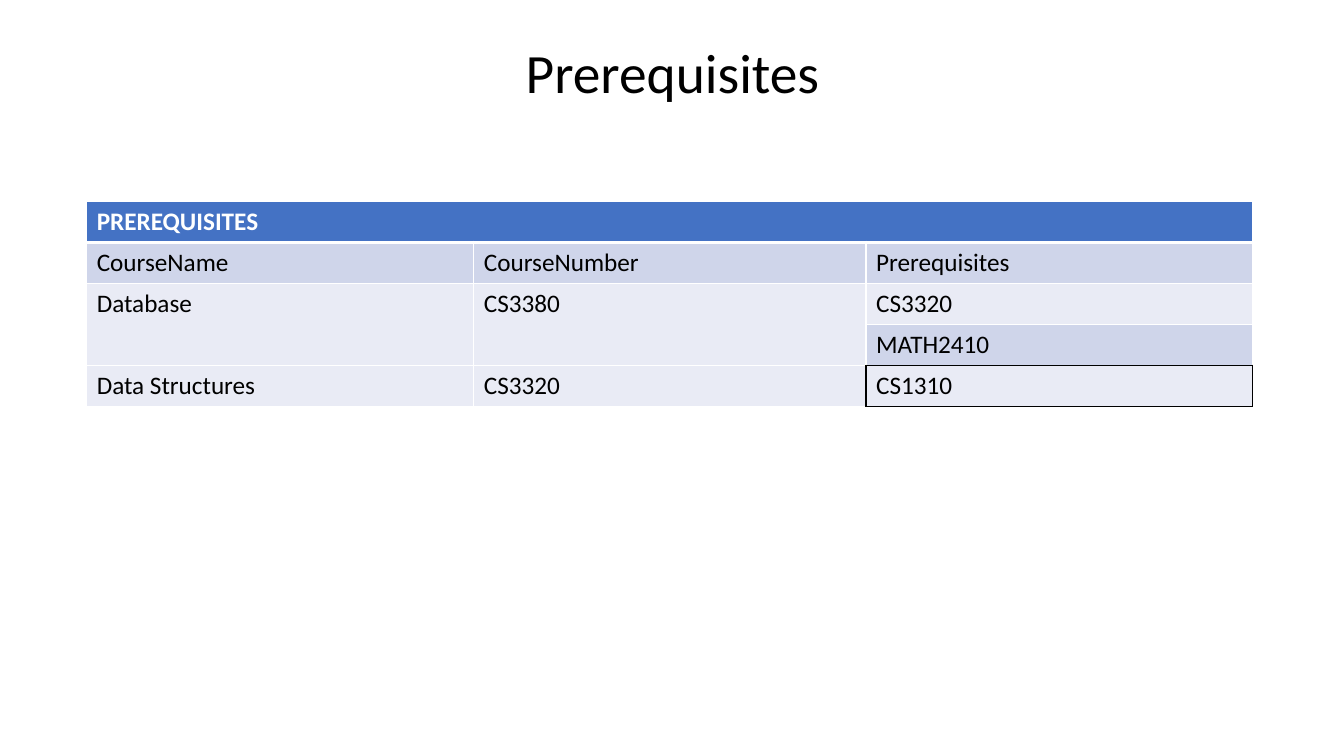
from lxml.etree import SubElement
from pptx import Presentation
from pptx.dml.color import RGBColor
from pptx.enum.text import MSO_ANCHOR, MSO_AUTO_SIZE, PP_ALIGN
from pptx.oxml.ns import qn
from pptx.util import Inches, Pt

THEME = {
    "font": "Calibri",
    "title_size": Pt(39.6),
    "cell_size": Pt(18),
    "text": "000000",
    "header_text": "FFFFFF",
    "header_fill": "4472C4",
    "bands": ("E9EBF5", "CFD5EA"),
    "rule": "FFFFFF",
    "frame": "000000",
}


def format_font(font, size, color, bold=False):
    values = {"name": THEME["font"], "size": size, "bold": bold}
    for key, value in values.items():
        setattr(font, key, value)
    font.color.rgb = RGBColor.from_string(color)


def add_borders(cell, borders):
    properties = cell._tc.get_or_add_tcPr()
    for position, side in enumerate("LRTB"):
        color, points = borders[side]
        line = SubElement(properties, qn(f"a:ln{side}"), w=str(Pt(points)))
        fill = SubElement(line, qn("a:solidFill"))
        SubElement(fill, qn("a:srgbClr"), val=color)
        properties.insert(position, line)


# Slide
prs = Presentation()
prs.slide_width, prs.slide_height = Inches(13.33), Inches(7.5)
slide = prs.slides.add_slide(prs.slide_layouts[5])

# Title
heading = slide.shapes.title
heading_box = {"left": 0.92, "top": 0.39, "width": 11.5, "height": 0.71}
for key, value in heading_box.items():
    setattr(heading, key, Inches(value))
heading.text_frame.text = "Prerequisites"
heading.text_frame.auto_size = MSO_AUTO_SIZE.NONE
heading.text_frame.vertical_anchor = MSO_ANCHOR.MIDDLE
heading_line = heading.text_frame.paragraphs[0]
heading_line.alignment = PP_ALIGN.CENTER
heading_line.line_spacing = 0.9
format_font(heading_line.runs[0].font, THEME["title_size"], THEME["text"])

# Course table
courses = [
    ["PREREQUISITES", "", ""],
    ["CourseName", "CourseNumber", "Prerequisites"],
    ["Database", "CS3380", "CS3320"],
    ["", "", "MATH2410"],
    ["Data Structures", "CS3320", "CS1310"],
]
column_widths = [3.84, 3.89, 3.83]
prerequisites = slide.shapes.add_table(
    len(courses), len(column_widths),
    Inches(0.86), Inches(2), Inches(sum(column_widths)), Inches(2.03),
).table
for column, width in zip(prerequisites.columns, column_widths):
    column.width = Inches(width)

# Header across all columns, Database across two rows
for first, last in [((0, 0), (0, 2)), ((2, 0), (3, 0)), ((2, 1), (3, 1))]:
    prerequisites.cell(*first).merge(prerequisites.cell(*last))

# Cell text, banding and borders
thin, thick, framed = (THEME["rule"], 1), (THEME["rule"], 3), (THEME["frame"], 1)
special_borders = {
    (3, 2): {"B": framed},
    (4, 1): {"R": framed},
    (4, 2): dict.fromkeys("LRTB", framed),
}
for row, values in enumerate(courses):
    for col, value in enumerate(values):
        cell = prerequisites.cell(row, col)
        header = row == 0
        fill = THEME["header_fill"] if header else THEME["bands"][row % 2]
        cell.fill.solid()
        cell.fill.fore_color.rgb = RGBColor.from_string(fill)
        borders = dict.fromkeys("LRTB", thin)
        if header:
            borders["B"] = thick
        elif row == 1:
            borders["T"] = thick
        borders.update(special_borders.get((row, col), {}))
        add_borders(cell, borders)
        if value:
            cell.text = value
            color = THEME["header_text"] if header else THEME["text"]
            run = cell.text_frame.paragraphs[0].runs[0]
            format_font(run.font, THEME["cell_size"], color, header)

prs.save("out.pptx")
